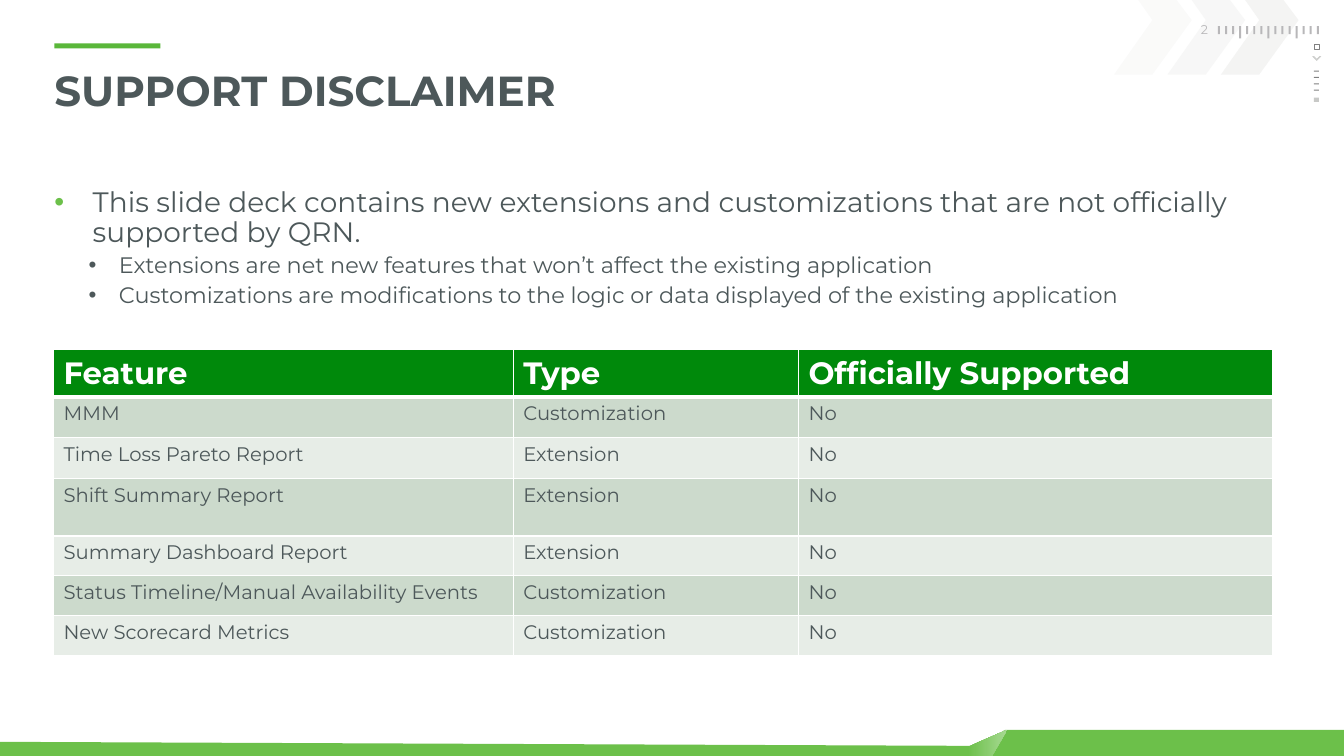
from lxml import etree
from pptx import Presentation
from pptx import util as u
from pptx.dml.color import RGBColor
from pptx.enum import shapes, text
from pptx.oxml.ns import qn

COLORS = {
    "green": "6CC04A", "accent": "5AB73A", "pale_green": "A7D992",
    "header": "00890B", "band_dark": "CCDACC", "band_light": "E7EDE7",
    "ink": "4D585A", "white": "FFFFFF", "silver": "C8C9C7",
    "tick": "B8B7B9", "gray": "808080", "chevron_edge": "CFD0CE",
}
FONT = "Montserrat"
BULLETS = [
    (0, "This slide deck contains new extensions and customizations "
        "that are not officially supported by QRN."),
    (1, "Extensions are net new features that won\u2019t affect the existing application"),
    (1, "Customizations are modifications to the logic or data displayed "
        "of the existing application"),
]
# Per level: left margin, hanging indent, space before, size, bullet colour
LEVELS = [(0.38, 0.38, 18, 20, "green"), (0.64, 0.3, 4, 16, "ink")]
FEATURES = [
    ("Feature", "Type", "Officially Supported"),
    ("MMM", "Customization", "No"),
    ("Time Loss Pareto Report", "Extension", "No"),
    ("Shift Summary Report", "Extension", "No"),
    ("Summary Dashboard Report", "Extension", "No"),
    ("Status Timeline/Manual Availability Events", "Customization", "No"),
    ("New Scorecard Metrics", "Customization", "No"),
]
COLUMN_WIDTHS = [4.56, 2.83, 4.7]
ROW_HEIGHTS = [0.46, 0.4, 0.41, 0.57, 0.39, 0.4, 0.4]


def rgb(name):
    return RGBColor.from_string(COLORS[name])


def paint(shape, fill=None, line=None, line_width=0.25, opacity=None):
    shape.shadow.inherit = False
    if fill:
        shape.fill.solid()
        shape.fill.fore_color.rgb = rgb(fill)
    else:
        shape.fill.background()
    if opacity:
        color = shape.fill._xPr.find(".//" + qn("a:srgbClr"))
        etree.SubElement(color, qn("a:alpha"), val=str(opacity * 1000))
    if line:
        shape.line.color.rgb = rgb(line)
        shape.line.width = u.Pt(line_width)
    else:
        shape.line.fill.background()


def add_rectangle(slide, left, top, width, height, **style):
    box = [u.Inches(length) for length in (left, top, width, height)]
    shape = slide.shapes.add_shape(shapes.MSO_SHAPE.RECTANGLE, *box)
    paint(shape, **style)


def add_outline(slide, points, **style):
    corners = [(u.Inches(x), u.Inches(y)) for x, y in points]
    builder = slide.shapes.build_freeform(*corners[0])
    builder.add_line_segments(corners[1:], close=True)
    shape = builder.convert_to_shape()
    paint(shape, **style)
    return shape


def format_paragraph(paragraph, size, color, bold=False):
    for run in paragraph.runs:
        run.font.name = FONT
        run.font.size = u.Pt(size)
        run.font.bold = bold
        run.font.color.rgb = rgb(color)


def add_text_frame(slide, left, top, width, height):
    box = slide.shapes.add_textbox(*[u.Inches(n) for n in (left, top, width, height)])
    frame = box.text_frame
    frame.word_wrap = True
    frame.margin_left = frame.margin_right = frame.margin_top = frame.margin_bottom = 0
    return frame


def add_label(slide, box, words, size, color, bold=False, spacing=None, align=None):
    paragraph = add_text_frame(slide, *box).paragraphs[0]
    paragraph.text = words
    paragraph.line_spacing = spacing
    paragraph.alignment = align
    format_paragraph(paragraph, size, color, bold)


def add_bullets(slide, box, items):
    frame = add_text_frame(slide, *box)
    frame.text = "\n".join(words for _, words in items)
    for paragraph, (level, _) in zip(frame.paragraphs, items):
        margin, hanging, before, size, bullet_color = LEVELS[level]
        paragraph.level = level
        paragraph.line_spacing = 0.9
        paragraph.space_before = u.Pt(before)
        format_paragraph(paragraph, size, "ink")
        properties = paragraph._p.get_or_add_pPr()
        properties.set("marL", str(u.Inches(margin)))
        properties.set("indent", str(-u.Inches(hanging)))
        color = etree.SubElement(properties, qn("a:buClr"))
        etree.SubElement(color, qn("a:srgbClr"), val=COLORS[bullet_color])
        etree.SubElement(properties, qn("a:buFont"), typeface="Arial")
        etree.SubElement(properties, qn("a:buChar"), char="\u2022")


def set_borders(cell, row):
    thick = {(0, "lnB"), (1, "lnT")}
    for side in ("lnL", "lnR", "lnT", "lnB"):
        width = u.Pt(3 if (row, side) in thick else 1)
        line = etree.SubElement(cell._tc.get_or_add_tcPr(), qn("a:" + side), w=str(width))
        fill = etree.SubElement(line, qn("a:solidFill"))
        etree.SubElement(fill, qn("a:srgbClr"), val=COLORS["white"])


def add_feature_table(slide, left, top):
    table = slide.shapes.add_table(
        len(FEATURES), len(COLUMN_WIDTHS), u.Inches(left), u.Inches(top),
        u.Inches(sum(COLUMN_WIDTHS)), u.Inches(sum(ROW_HEIGHTS))).table
    for column, width in zip(table.columns, COLUMN_WIDTHS):
        column.width = u.Inches(width)
    for row, (height, entries) in enumerate(zip(ROW_HEIGHTS, FEATURES)):
        table.rows[row].height = u.Inches(height)
        is_header = row == 0
        band = "header" if is_header else ("band_light", "band_dark")[row % 2]
        for column, words in enumerate(entries):
            cell = table.cell(row, column)
            set_borders(cell, row)
            cell.fill.solid()
            cell.fill.fore_color.rgb = rgb(band)
            cell.text_frame.text = words
            format_paragraph(cell.text_frame.paragraphs[0], 22 if is_header else 14,
                             "white" if is_header else "ink", is_header)


def add_footer(slide):
    add_outline(slide, [(9.97, 7.24), (13.33, 7.24), (13.33, 7.5), (0, 7.5),
                        (0, 7.36), (9.7, 7.4)], fill="green")
    fold = add_outline(slide, [(9.99, 7.24), (9.84, 7.5), (9.39, 7.5)], fill="green")
    fold.fill.gradient()
    fold.fill.gradient_angle = 0
    stops = zip(fold.fill.gradient_stops, [(0.35, "green"), (1, "pale_green")])
    for stop, (position, color) in stops:
        stop.position = position
        stop.color.rgb = rgb(color)


def add_corner_ornament(slide):
    # Pale arrows
    for index, opacity in enumerate((9, 14, 20)):
        left = 11.05 + 0.53 * index
        steps = [(0.24, 0), (0.62, 0), (0.77, 0.2), (0.38, 0.74), (0, 0.74), (0.38, 0.2)]
        add_outline(slide, [(left + x, y) for x, y in steps], fill="silver", opacity=opacity)
    # Ruler, every fourth tick longer
    for index in range(15):
        height = 0.12 if index % 4 == 3 else 0.08
        add_rectangle(slide, 12.08 + 0.07 * index, 0.26, 0.02, height, fill="tick")
    # Square, chevron, dashes and block
    add_rectangle(slide, 13.03, 0.44, 0.05, 0.05, line="gray")
    add_outline(slide, [(13.02, 0.56), (13.06, 0.6), (13.1, 0.56), (13.09, 0.56),
                        (13.06, 0.59), (13.03, 0.56)],
                fill="gray", line="chevron_edge", line_width=0.5)
    for index in range(4):
        add_rectangle(slide, 13.03, 0.7 + 0.19 * index / 3, 0.05, 0.01, fill="gray")
    add_rectangle(slide, 13.03, 0.97, 0.05, 0.04, fill="silver")


def main():
    presentation = Presentation()
    presentation.slide_width = u.Inches(13.33)
    presentation.slide_height = u.Inches(7.5)
    slide = presentation.slides.add_slide(presentation.slide_layouts[6])

    # Frame
    add_footer(slide)
    add_rectangle(slide, 0.54, 0.43, 1.05, 0.05, fill="accent")
    add_corner_ornament(slide)
    add_label(slide, (11.33, 0.22, 0.65, 0.15), "2", 9, "tick",
              align=text.PP_ALIGN.RIGHT)

    # Content
    add_bullets(slide, (0.54, 1.87, 11.8, 4.9), BULLETS)
    add_label(slide, (0.54, 0.74, 11.8, 0.4), "SUPPORT DISCLAIMER", 30, "ink",
              bold=True, spacing=0.8)
    add_feature_table(slide, 0.53, 3.47)

    presentation.save("out.pptx")


main()
